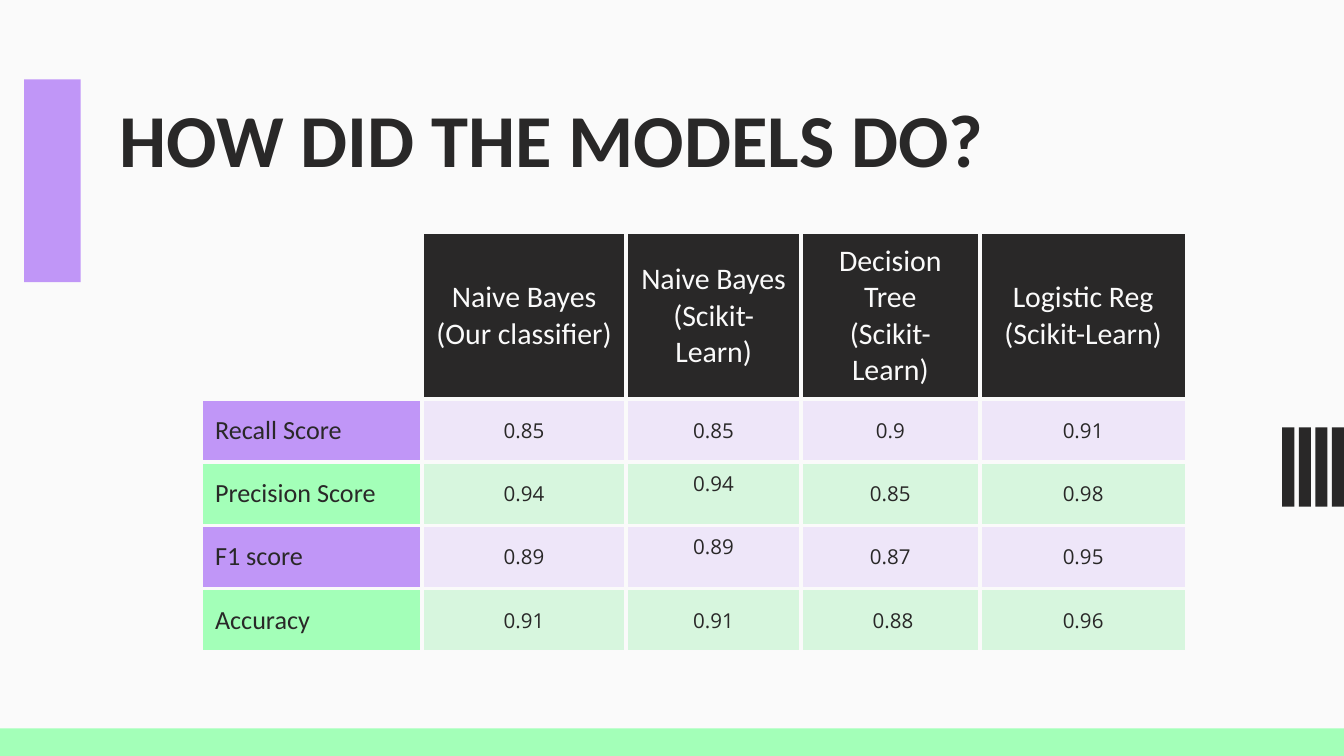
from dataclasses import dataclass

from lxml import etree
from pptx import Presentation
from pptx.dml.color import RGBColor
from pptx.enum.shapes import MSO_SHAPE
from pptx.enum.text import MSO_ANCHOR, PP_ALIGN
from pptx.oxml.ns import qn
from pptx.util import Inches, Pt

RECT = MSO_SHAPE.RECTANGLE
TOP, MIDDLE, BOTTOM = MSO_ANCHOR.TOP, MSO_ANCHOR.MIDDLE, MSO_ANCHOR.BOTTOM
LEFT, CENTER = PP_ALIGN.LEFT, PP_ALIGN.CENTER


@dataclass(frozen=True)
class Theme:
    paper: str = "FAFAFA"
    ink: str = "292828"
    purple: str = "C096F7"
    green: str = "A3FFB8"
    deep_green: str = "4CE76F"
    heading_font: str = "Calibri"
    value_font: str = "Open Sans"
    title_size: int = 40
    header_size: int = 16
    label_size: int = 14
    value_size: int = 11
    border_width: float = 2.25
    tint: int = 20


class SlideBuilder:
    """Holds the theme and the current slide, and adds each kind of element."""

    def __init__(self, slide, theme):
        self.slide = slide
        self.theme = theme
        fill = slide.background.fill
        fill.solid()
        fill.fore_color.rgb = RGBColor.from_string(theme.paper)

    def style(self, p, font, size, color, align, bold=False):
        p.alignment = align
        p.font.name = font
        p.font.size = Pt(size)
        p.font.bold = bold
        p.font.color.rgb = RGBColor.from_string(color)

    def bar(self, left, top, width, height, color):
        sp = self.slide.shapes.add_shape(
            RECT, Inches(left), Inches(top), Inches(width), Inches(height))
        sp.shadow.inherit = False
        sp.fill.solid()
        sp.fill.fore_color.rgb = RGBColor.from_string(color)
        sp.line.fill.background()

    def title(self, text, left, top, width, height):
        sp = self.slide.shapes.title
        sp.left, sp.top = Inches(left), Inches(top)
        sp.width, sp.height = Inches(width), Inches(height)
        tf = sp.text_frame
        tf.text = text
        tf.word_wrap = True
        tf.vertical_anchor = TOP
        tf.margin_left = tf.margin_right = Inches(0.1)
        tf.margin_top = tf.margin_bottom = Inches(0.1)
        self.style(tf.paragraphs[0], self.theme.heading_font,
                   self.theme.title_size, self.theme.ink, LEFT, True)

    def table(self, left, top, widths, heights):
        frame = self.slide.shapes.add_table(
            len(heights), len(widths), Inches(left), Inches(top),
            Inches(sum(widths)), Inches(sum(heights)))
        table = frame.table
        for column, width in zip(table.columns, widths):
            column.width = Inches(width)
        for row, height in zip(table.rows, heights):
            row.height = Inches(height)
        return table

    def cell(self, cell, fill, tint=None):
        cell.fill.solid()
        cell.fill.fore_color.rgb = RGBColor.from_string(fill)
        tc_pr = cell._tc.get_or_add_tcPr()
        if tint:
            color = tc_pr.find(qn("a:solidFill")).find(qn("a:srgbClr"))
            etree.SubElement(color, qn("a:alpha"), val=str(tint * 1000))
        for i, side in enumerate(("a:lnL", "a:lnR", "a:lnT", "a:lnB")):
            ln = etree.Element(qn(side), w=str(Pt(self.theme.border_width)))
            line_fill = etree.SubElement(ln, qn("a:solidFill"))
            etree.SubElement(line_fill, qn("a:srgbClr"), val=self.theme.paper)
            tc_pr.insert(i, ln)

    def cell_text(self, cell, text, font, size, color, align, side, ends,
                  anchor=MIDDLE):
        cell.text = text
        cell.vertical_anchor = anchor
        cell.margin_left = cell.margin_right = Inches(side)
        cell.margin_top = cell.margin_bottom = Inches(ends)
        for p in cell.text_frame.paragraphs:
            self.style(p, font, size, color, align)

    def score_table(self, left, top, widths, heights, headers, scores, raised):
        th = self.theme
        table = self.table(left, top, widths, heights)
        self.cell(table.cell(0, 0), th.paper)
        for c, header in enumerate(headers, 1):
            cell = table.cell(0, c)
            self.cell(cell, th.ink)
            self.cell_text(cell, header, th.heading_font, th.header_size,
                           th.paper, CENTER, 0.1, 0.07)
        bands = ((th.purple, th.purple), (th.green, th.deep_green))
        for r, (label, values) in enumerate(scores.items(), 1):
            label_fill, value_fill = bands[(r - 1) % 2]
            cell = table.cell(r, 0)
            self.cell(cell, label_fill)
            self.cell_text(cell, label, th.heading_font, th.label_size,
                           th.ink, LEFT, 0.1, 0)
            for c, value in enumerate(values, 1):
                cell = table.cell(r, c)
                self.cell(cell, value_fill, th.tint)
                self.cell_text(cell, value, th.value_font, th.value_size,
                               th.ink, CENTER, 0, 0,
                               BOTTOM if (r, c) in raised else MIDDLE)
                if (r, c) in raised:
                    cell.margin_bottom = Inches(0.21)


def main():
    prs = Presentation()
    prs.slide_width, prs.slide_height = Inches(10), Inches(10 * 9 / 16)
    theme = Theme()
    s = SlideBuilder(prs.slides.add_slide(prs.slide_layouts[5]), theme)

    s.bar(-0.01, 5.42, 10.01, 0.21, theme.green)
    for i in range(4):
        s.bar(9.54 + i * 0.37 / 3, 3.18, 0.09, 0.59, theme.ink)
    s.bar(0.18, 0.59, 0.42, 1.51, theme.purple)
    s.title("HOW DID THE MODELS DO?", 0.79, 0.59, 8.43, 0.63)

    headers = ["Naive Bayes\n(Our classifier)", "Naive Bayes\n(Scikit-Learn)",
               "Decision Tree\n(Scikit-Learn)", "Logistic Reg\n(Scikit-Learn)"]
    scores = {
        "Recall Score": ["0.85", "0.85", "0.9", "0.91"],
        "Precision Score": ["0.94", "0.94", "0.85", "0.98"],
        "F1 score": ["0.89", "0.89", "0.87", "0.95"],
        "Accuracy": ["0.91", "0.91", " 0.88", "0.96"],
    }
    s.score_table(1.5, 1.73, [1.64, 1.52, 1.3, 1.33, 1.54],
                  [1.24] + [0.47] * len(scores), headers, scores,
                  raised={(2, 2), (3, 2)})
    prs.save("out.pptx")


if __name__ == "__main__":
    main()
